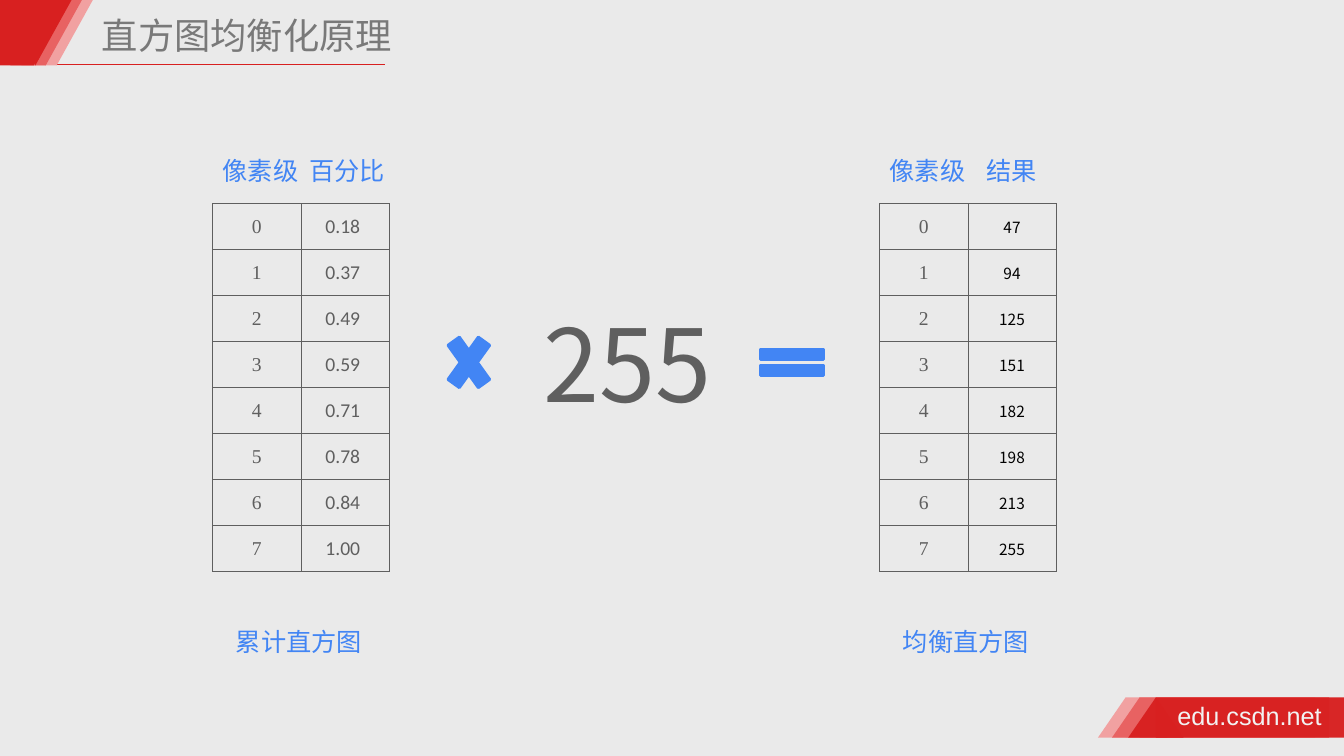
from dataclasses import dataclass, field
from typing import Any

from lxml.etree import SubElement
from pptx import Presentation
from pptx.dml.color import RGBColor
from pptx.enum.shapes import MSO_CONNECTOR, MSO_SHAPE
from pptx.enum.text import MSO_ANCHOR, MSO_AUTO_SIZE, PP_ALIGN
from pptx.oxml.ns import qn
from pptx.util import Pt

PAPER = RGBColor(0xEA, 0xEA, 0xEA)
RED = RGBColor(0xD8, 0x20, 0x20)
CORAL = RGBColor(0xE8, 0x62, 0x62)
PINK = RGBColor(0xF1, 0xA1, 0xA1)
BLUE = RGBColor(0x42, 0x85, 0xF4)
GRAY = RGBColor(0x5F, 0x5F, 0x5F)
SILVER = RGBColor(0x79, 0x79, 0x79)
WHITE = RGBColor(0xF2, 0xF2, 0xF2)
BLACK = RGBColor(0, 0, 0)
HAN = "Noto Sans CJK SC"


@dataclass
class Style:
    font: str
    size: float
    color: RGBColor


HEAD = Style(HAN, 18, BLUE)
LEVEL = Style("Times New Roman", 14, GRAY)
RATIO = Style("Calibri", 14, GRAY)
RESULT = Style(HAN, 11, BLACK)
MIDDLE = {"vertical_anchor": MSO_ANCHOR.MIDDLE}
CENTER = {"alignment": PP_ALIGN.CENTER}
TIGHT = {f"margin_{side}": Pt(3.6) for side in ("left", "right", "top", "bottom")}
FIT = {"word_wrap": False, "auto_size": MSO_AUTO_SIZE.SHAPE_TO_FIT_TEXT}
PLAIN = {"first_row": False, "horz_banding": False}
INSET = MIDDLE | {"margin_left": Pt(0.72), "margin_right": Pt(0.72),
                  "margin_top": Pt(0.72), "margin_bottom": Pt(0)}


@dataclass
class Label:
    text: str
    left: float
    top: float
    width: float
    height: float = 28.8
    style: Style = field(default_factory=lambda: HEAD)
    frame: dict[str, Any] = field(default_factory=lambda: FIT)
    para: dict[str, Any] = field(default_factory=dict)


@dataclass
class Band:
    left: float
    width: float
    color: RGBColor
    alpha: int = 100


@dataclass
class Sign:
    kind: MSO_SHAPE
    left: float
    top: float
    width: float
    height: float


@dataclass
class Chart:
    left: float
    heads: list[Label]
    title: str
    style: Style
    values: list[str]


def apply(target: Any, values: dict[str, Any]) -> None:
    for name, value in values.items():
        setattr(target, name, value)


def write(para: Any, text: str, style: Style) -> None:
    run = para.add_run()
    run.text = text
    apply(run.font, {"name": style.font, "size": Pt(style.size)})
    run.font.color.rgb = style.color
    SubElement(run.font._element, qn("a:ea"), typeface=style.font)


def draw_label(slide: Any, label: Label) -> None:
    box = slide.shapes.add_textbox(
        Pt(label.left), Pt(label.top), Pt(label.width), Pt(label.height))
    apply(box.text_frame, label.frame)
    para = box.text_frame.paragraphs[0]
    apply(para, label.para)
    write(para, label.text, label.style)


def draw_shape(slide: Any, sign: Sign, color: RGBColor) -> Any:
    shape = slide.shapes.add_shape(
        sign.kind, Pt(sign.left), Pt(sign.top), Pt(sign.width), Pt(sign.height))
    shape.shadow.inherit = False
    shape.fill.solid()
    shape.fill.fore_color.rgb = color
    shape.line.fill.background()
    return shape


def draw_band(slide: Any, band: Band, top: float, height: float,
              base: float, turn: int) -> None:
    body = Sign(MSO_SHAPE.RECTANGLE, band.left, top, band.width, height)
    edge = band.left if turn == 0 else band.left + band.width
    slope = Sign(MSO_SHAPE.ISOSCELES_TRIANGLE, edge - base / 2, top, base, height)
    if turn:
        slope.left = band.left - 0.7
    for part, angle in ((body, 0), (slope, turn)):
        shape = draw_shape(slide, part, band.color)
        shape.rotation = angle
        if band.alpha < 100:
            tint = shape._element.spPr.find(qn("a:solidFill"))[0]
            SubElement(tint, qn("a:alpha"), val=str(band.alpha * 1000))


def draw_rule(slide: Any) -> None:
    rule = slide.shapes.add_connector(
        MSO_CONNECTOR.STRAIGHT, Pt(35.3), Pt(46.1), Pt(275), Pt(46.1))
    rule.line.color.rgb = RED
    rule.line.width = Pt(1)
    SubElement(rule._element.spPr, qn("a:effectLst"))


def draw_cell(cell: Any, text: str, style: Style) -> None:
    apply(cell, INSET)
    para = cell.text_frame.paragraphs[0]
    apply(para, CENTER)
    write(para, text, style)
    props = cell._tc.get_or_add_tcPr()
    for side in ("lnL", "lnR", "lnT", "lnB"):
        edge = SubElement(props, qn(f"a:{side}"), w=str(Pt(0.5)))
        fill = SubElement(edge, qn("a:solidFill"))
        SubElement(fill, qn("a:srgbClr"), val=str(GRAY))
    cell.fill.background()


def draw_chart(slide: Any, chart: Chart) -> None:
    count = len(chart.values)
    table = slide.shapes.add_table(
        count, 2, Pt(chart.left), Pt(145.4), Pt(126), Pt(32.86 * count)).table
    apply(table, PLAIN)
    for col in table.columns:
        col.width = Pt(63)
    for row, value in enumerate(chart.values):
        table.rows[row].height = Pt(32.86)
        draw_cell(table.cell(row, 0), str(row), LEVEL)
        draw_cell(table.cell(row, 1), value, chart.style)
    title = Label(chart.title, chart.left + 9, 443.5, 105, para=CENTER)
    for label in [*chart.heads, title]:
        draw_label(slide, label)


def main() -> None:
    deck = Presentation()
    apply(deck, {"slide_width": Pt(960), "slide_height": Pt(540)})
    slide = deck.slides.add_slide(deck.slide_layouts[6])
    slide.background.fill.solid()
    slide.background.fill.fore_color.rgb = PAPER

    draw_rule(slide)
    for band in (Band(804, 135.4, PINK), Band(814, 135.4, CORAL),
                 Band(825.6, 134.4, RED, 97)):
        draw_band(slide, band, 498.2, 28.8, 39.6, 0)
    for band in (Band(15.2, 25.2, PINK), Band(7.4, 25.2, CORAL),
                 Band(0, 24.5, RED)):
        draw_band(slide, band, 0, 46.8, 51.8, 180)

    ratios = [0.18, 0.37, 0.49, 0.59, 0.71, 0.78, 0.84, 1]
    results = [47, 94, 125, 151, 182, 198, 213, 255]
    charts = [
        Chart(152, [Label("像素级", 152, 107.3, 69), Label("百分比", 214, 107.3, 69)],
              "累计直方图", RATIO, [f"{ratio:.2f} " for ratio in ratios]),
        Chart(628.4, [Label("像素级", 628.4, 107.3, 69), Label("结果", 697.2, 107.3, 51)],
              "均衡直方图", RESULT, [str(value) for value in results]),
    ]
    for chart in charts:
        draw_chart(slide, chart)

    labels = [
        Label("edu.csdn.net", 837.4, 496.8, 111.6,
              style=Style("Arial", 18, WHITE), frame=TIGHT | FIT),
        Label("直方图均衡化原理", 69.1, 3.6, 278, 40.3, Style(HAN, 25.9, SILVER),
              TIGHT | MIDDLE | {"word_wrap": True}, {"line_spacing": 1.1}),
        Label("255", 381, 211.7, 142.6, 94.3, Style(HAN, 72, GRAY)),
    ]
    for label in labels:
        draw_label(slide, label)

    times = Sign(MSO_SHAPE.MATH_MULTIPLY, 314, 229.7, 41.8, 58.3)
    equal = Sign(MSO_SHAPE.MATH_EQUAL, 535, 242.6, 61.2, 32.4)
    for sign in (times, equal):
        shape = draw_shape(slide, sign, BLUE)
        shape.line.color.rgb = BLUE
        shape.line.width = Pt(2)
        if sign is times:
            shape.adjustments[0] = 0.24
    deck.save("out.pptx")


if __name__ == "__main__":
    main()
